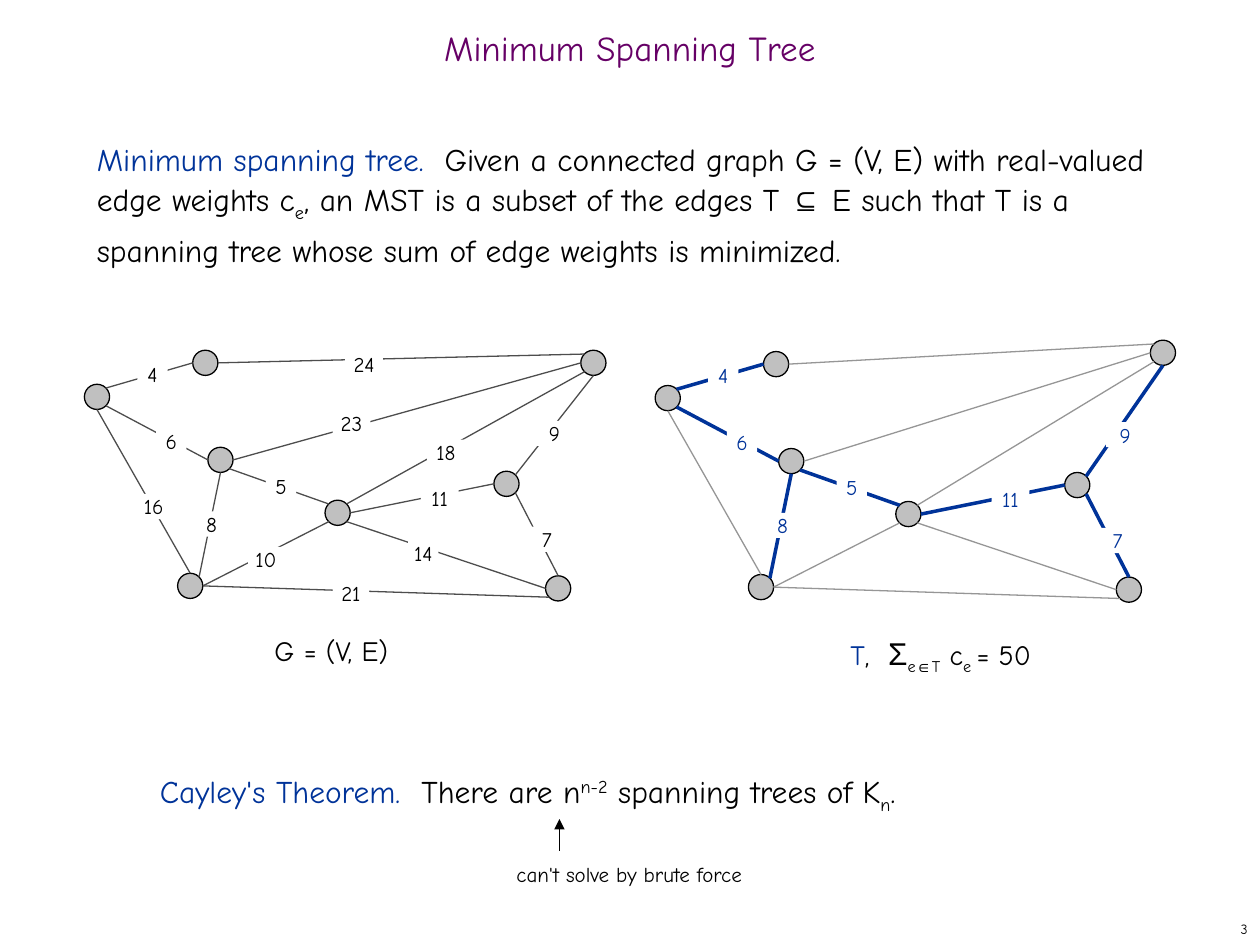
import pptx
import pptx.util
import pptx.dml.color
import pptx.enum.shapes
import pptx.enum.text
from lxml import etree

COLORS = {"title": "660066", "accent": "003399", "text": "000000", "node": "C0C0C0",
          "edge": "4D4D4D", "faded": "969696", "paper": "FFFFFF"}
FONT, SYMBOL_FONT = "Comic Neue", "Arial"
WIDTH, HEIGHT = 10, 7.5
RADIUS = 0.1
LABEL_HEIGHT = 0.2
BODY_LINE = 26
SUB, SUPER = {"baseline": -25}, {"baseline": 30}
ACCENT, SYMBOL = {"color": "accent"}, {"font": SYMBOL_FONT}

# Content: each paragraph is a list of (text, run format)
DEFINITION = [
    ("Minimum spanning tree.  ", ACCENT),
    ("Given a connected graph G = (V, E) with real-valued edge weights c", {}),
    ("e", SUB), (", an MST is a subset of the edges T ", {}), ("⊆", SYMBOL),
    (" E such that T is a spanning tree whose sum of edge weights is minimized.", {})]
THEOREM = [("Cayley's Theorem.  ", ACCENT), ("There are n", {}), ("n-2", SUPER),
           (" spanning trees of K", {}), ("n", SUB), (".", {})]
TREE_CAPTION = [("T", ACCENT), (",  ", {}), ("Σ", {"font": SYMBOL_FONT, "size": 18}),
                ("e", SUB), ("∈", {**SUB, **SYMBOL}), ("T", SUB), (" c", {}),
                ("e ", SUB), ("= 50", {})]

# Graph: node centres, then edges as (node, side, node, side, weight, label box, in tree)
NODES = {"a": (0.77, 3.15), "b": (1.63, 2.88), "c": (1.75, 3.65), "d": (1.51, 4.65),
         "e": (2.68, 4.07), "f": (4.02, 3.84), "g": (4.71, 2.88), "h": (4.43, 4.67)}
EDGES = [
    ("a", "NE", "b", "W", 4, (1.09, 2.87, 0.24), True),
    ("a", "SE", "c", "W", 6, (1.24, 3.40, 0.24), True),
    ("a", "S", "d", "N", 16, (1.10, 3.92, 0.24), False),
    ("c", "E", "g", "W", 23, (2.64, 3.26, 0.30), False),
    ("f", "NE", "g", "S", 9, (4.25, 3.34, 0.30), True),
    ("c", "SE", "e", "NW", 5, (2.11, 3.76, 0.24), True),
    ("e", "SE", "h", "W", 14, (3.24, 4.29, 0.24), False),
    ("e", "E", "f", "W", 11, (3.34, 3.85, 0.30), True),
    ("f", "SE", "h", "N", 7, (4.19, 4.18, 0.30), True),
    ("g", "SW", "e", "NE", 18, (3.39, 3.49, 0.30), False),
    ("c", "S", "d", "NE", 8, (1.56, 4.06, 0.24), True),
    ("d", "E", "e", "SW", 10, (1.97, 4.34, 0.28), False),
    ("b", "E", "g", "NW", 24, (2.74, 2.79, 0.30), False),
    ("d", "E", "h", "SW", 21, (2.64, 4.61, 0.29), False),
]
TREE_OFFSET = (4.53, 0.01)
TREE_NODES = {**NODES, "g": (4.70, 2.79)}

presentation = pptx.Presentation()
presentation.slide_width = pptx.util.Inches(WIDTH)
presentation.slide_height = pptx.util.Inches(HEIGHT)
slide = presentation.slides.add_slide(presentation.slide_layouts[6])


def inches(*lengths):
    return [pptx.util.Inches(length) for length in lengths]


def rgb(name):
    return pptx.dml.color.RGBColor.from_string(COLORS[name])


def write(shape, *paragraphs, size=18, color="text", align="LEFT", anchor="TOP",
          margins=(0.1, 0.05), wrap=True, spacing=None):
    """Fill a shape with paragraphs, each a string or a list of (text, format) runs."""
    frame = shape.text_frame
    frame.word_wrap = wrap
    frame.vertical_anchor = getattr(pptx.enum.text.MSO_ANCHOR, anchor)
    frame.margin_left = frame.margin_right = pptx.util.Inches(margins[0])
    frame.margin_top = frame.margin_bottom = pptx.util.Inches(margins[1])
    for index, runs in enumerate(paragraphs):
        paragraph = frame.add_paragraph() if index else frame.paragraphs[0]
        paragraph.alignment = getattr(pptx.enum.text.PP_ALIGN, align)
        if spacing:
            paragraph.line_spacing = spacing
        for text, style in [(runs, {})] if isinstance(runs, str) else runs:
            run = paragraph.add_run()
            run.text = text
            run.font.name = style.get("font", FONT)
            run.font.size = pptx.util.Pt(style.get("size", size))
            run.font.color.rgb = rgb(style.get("color", color))
            if "baseline" in style:
                run.font._element.set("baseline", str(style["baseline"] * 1000))
    return frame


def add_text(box, *paragraphs, **style):
    return write(slide.shapes.add_textbox(*inches(*box)), *paragraphs, **style)


def add_shape(kind, box, fill, outlined):
    shape = slide.shapes.add_shape(getattr(pptx.enum.shapes.MSO_SHAPE, kind), *inches(*box))
    shape.shadow.inherit = False
    shape.fill.solid()
    shape.fill.fore_color.rgb = rgb(fill)
    if outlined:
        shape.line.color.rgb = rgb("text")
        shape.line.width = pptx.util.Pt(0.75)
    else:
        shape.line.fill.background()
    return shape


def add_line(start, end, color, width=0.75, arrow=False):
    line = slide.shapes.add_connector(pptx.enum.shapes.MSO_CONNECTOR.STRAIGHT,
                                      *inches(*start, *end))
    line.line.color.rgb = rgb(color)
    line.line.width = pptx.util.Pt(width)
    namespace = pptx.oxml.ns.qn
    if arrow:
        etree.SubElement(line.line._get_or_add_ln(), namespace("a:tailEnd"), type="triangle")
    etree.SubElement(line._element.spPr, namespace("a:effectLst"))


def rim(center, side):
    """Point on a node's rim in a compass direction."""
    across = ("E" in side) - ("W" in side)
    down = ("S" in side) - ("N" in side)
    reach = RADIUS if len(side) == 1 else RADIUS * 0.7
    return center[0] + across * reach, center[1] + down * reach


def add_graph(nodes, offset, tree):
    dx, dy = offset
    centers = {name: (x + dx, y + dy) for name, (x, y) in nodes.items()}
    for x, y in centers.values():
        add_shape("OVAL", (x - RADIUS, y - RADIUS, 2 * RADIUS, 2 * RADIUS), "node", True)
    for first, side, second, other, _, _, chosen in EDGES:
        color, width = ("edge", 0.75) if not tree else ("accent", 2) if chosen else ("faded", 0.75)
        add_line(rim(centers[first], side), rim(centers[second], other), color, width)
    for *_, weight, (x, y, width), chosen in EDGES:
        if chosen or not tree:
            label = add_shape("RECTANGLE", (x + dx, y + dy, width, LABEL_HEIGHT), "paper", False)
            write(label, str(weight), size=12, color="accent" if tree else "text",
                  align="CENTER", margins=(0, 0))


# Title and body; the theorem stands eleven lines below the definition
add_text((0, 0.17, WIDTH, 0.5), "Minimum Spanning Tree", size=20, color="title",
         align="CENTER", anchor="MIDDLE", spacing=0.7)
body = add_text((0.67, 1, 8.58, 5.92), DEFINITION, THEOREM, spacing=pptx.util.Pt(BODY_LINE))
theorem = body.paragraphs[1]
theorem.space_before = pptx.util.Pt(11 * BODY_LINE)
theorem._p.get_or_add_pPr().set("marL", str(pptx.util.Inches(0.5)))

# Graph on the left, its spanning tree on the right
add_graph(NODES, (0, 0), tree=False)
add_graph(TREE_NODES, TREE_OFFSET, tree=True)
add_text((2.08, 4.98, 1.42, 0.37), "G = (V, E)", size=16)
add_text((6.65, 4.98, 1.83, 0.43), TREE_CAPTION, size=16)

# Remark under the theorem and slide number
add_line((4.44, 6.75), (4.44, 6.5), "text", arrow=True)
add_text((4, 6.79, 2.01, 0.3), "can't solve by brute force", size=12, wrap=False)
add_text((7.92, 7.25, 2.08, 0.25), "3", size=8, align="RIGHT", anchor="MIDDLE")

presentation.save("out.pptx")
